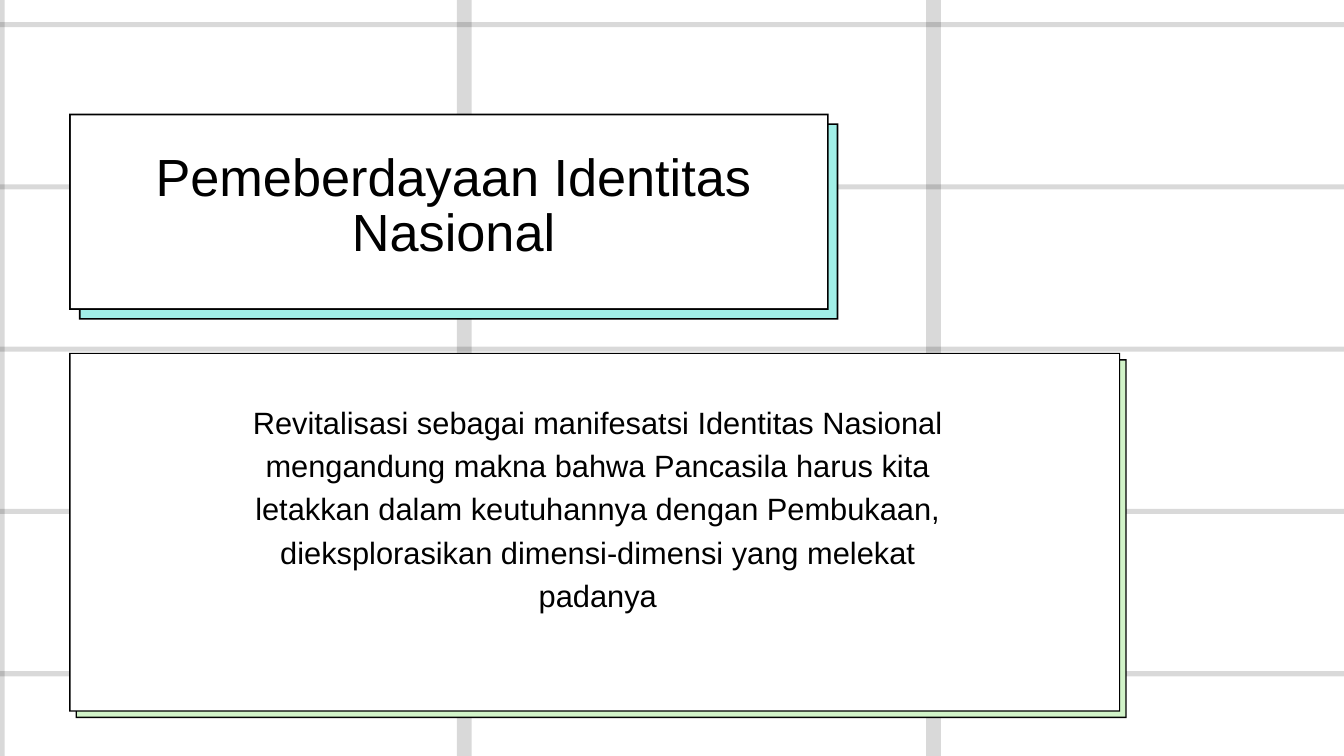
from dataclasses import dataclass

from lxml import etree
from pptx import Presentation
from pptx.dml.color import RGBColor
from pptx.enum.shapes import MSO_SHAPE
from pptx.enum.text import PP_ALIGN
from pptx.oxml.ns import qn
from pptx.util import Pt

RECT = MSO_SHAPE.RECTANGLE
CENTER = PP_ALIGN.CENTER
WIDTH, HEIGHT = 1440, 810
COLORS = {"ink": "000000", "paper": "FFFFFF", "mint": "D1F3C8", "aqua": "A1EFE7"}


@dataclass
class Box:
    left: float
    top: float
    width: float
    height: float


@dataclass
class Card:
    box: Box
    shift: float
    edge: float
    color: str


@dataclass
class Label:
    box: Box
    text: str
    size: float
    pitch: float


# The first upright bar is cut by the slide edge
UPRIGHT = [Box(0, 0, 5, HEIGHT)] + [Box(left, 0, 15.8, HEIGHT) for left in (489.6, 992.2)]
LEVEL = [Box(0, 23.6 + 173.9 * row, WIDTH, 5.4) for row in range(5)]
CARDS = [
    Card(Box(74.2, 378, 1126.1, 384.5), 6.9, 1.45, "mint"),
    Card(Box(74.2, 121.8, 813.6, 210.2), 10.4, 1.8, "aqua"),
]
LABELS = [
    Label(Box(77, 162, 818, 133), "Pemeberdayaan Identitas Nasional", 56, 59.4),
    Label(
        Box(236.9, 426.2, 807.1, 283),
        "Revitalisasi sebagai manifesatsi Identitas Nasional mengandung makna "
        "bahwa Pancasila harus kita letakkan dalam keutuhannya dengan Pembukaan, "
        "dieksplorasikan dimensi-dimensi yang melekat padanya",
        33, 46.2),
]


def rgb(name: str) -> RGBColor:
    return RGBColor.from_string(COLORS[name])


def paint(shape, color: str) -> None:
    shape.shadow.inherit = False
    shape.fill.solid()
    shape.fill.fore_color.rgb = rgb(color)
    shape.line.fill.background()


def draw_bars(shapes, bars: list[Box]) -> None:
    pen = None
    for bar in bars:
        left, top = Pt(bar.left), Pt(bar.top)
        right, base = Pt(bar.left + bar.width), Pt(bar.top + bar.height)
        if pen is None:
            pen = shapes.build_freeform(left, top)
        else:
            pen.move_to(left, top)
        pen.add_line_segments([(right, top), (right, base), (left, base)], close=True)
    grid = pen.convert_to_shape()
    paint(grid, "ink")
    tint = grid._element.spPr.find(qn("a:solidFill"))[0]
    etree.SubElement(tint, qn("a:alpha")).set("val", "15000")


def draw_panel(shapes, box: Box, edge: float, color: str) -> None:
    # Ink below, the face set in by the edge
    for inset, tone in ((0, "ink"), (edge, color)):
        rect = shapes.add_shape(
            RECT, Pt(box.left + inset), Pt(box.top + inset),
            Pt(box.width - 2 * inset), Pt(box.height - 2 * inset))
        paint(rect, tone)


def draw_card(shapes, card: Card) -> None:
    box = card.box
    back = Box(box.left + card.shift, box.top + card.shift, box.width, box.height)
    draw_panel(shapes, back, card.edge, card.color)
    draw_panel(shapes, box, card.edge, "paper")


def draw_label(shapes, label: Label) -> None:
    box = label.box
    frame = shapes.add_textbox(
        Pt(box.left), Pt(box.top), Pt(box.width), Pt(box.height)).text_frame
    frame.word_wrap = True
    frame.margin_left = frame.margin_right = frame.margin_top = frame.margin_bottom = 0
    frame.text = label.text
    para = frame.paragraphs[0]
    para.alignment = CENTER
    para.line_spacing = Pt(label.pitch)
    font = para.runs[0].font
    font.name = "Arial"
    font.size = Pt(label.size)
    font.color.rgb = rgb("ink")


def main() -> None:
    deck = Presentation()
    deck.slide_width, deck.slide_height = Pt(WIDTH), Pt(HEIGHT)
    slide = deck.slides.add_slide(deck.slide_layouts[6])
    slide.background.fill.solid()
    slide.background.fill.fore_color.rgb = rgb("paper")
    # Grid, then cards, then text
    for bars in (UPRIGHT, LEVEL):
        draw_bars(slide.shapes, bars)
    for card in CARDS:
        draw_card(slide.shapes, card)
    for label in LABELS:
        draw_label(slide.shapes, label)
    deck.save("out.pptx")


if __name__ == "__main__":
    main()
